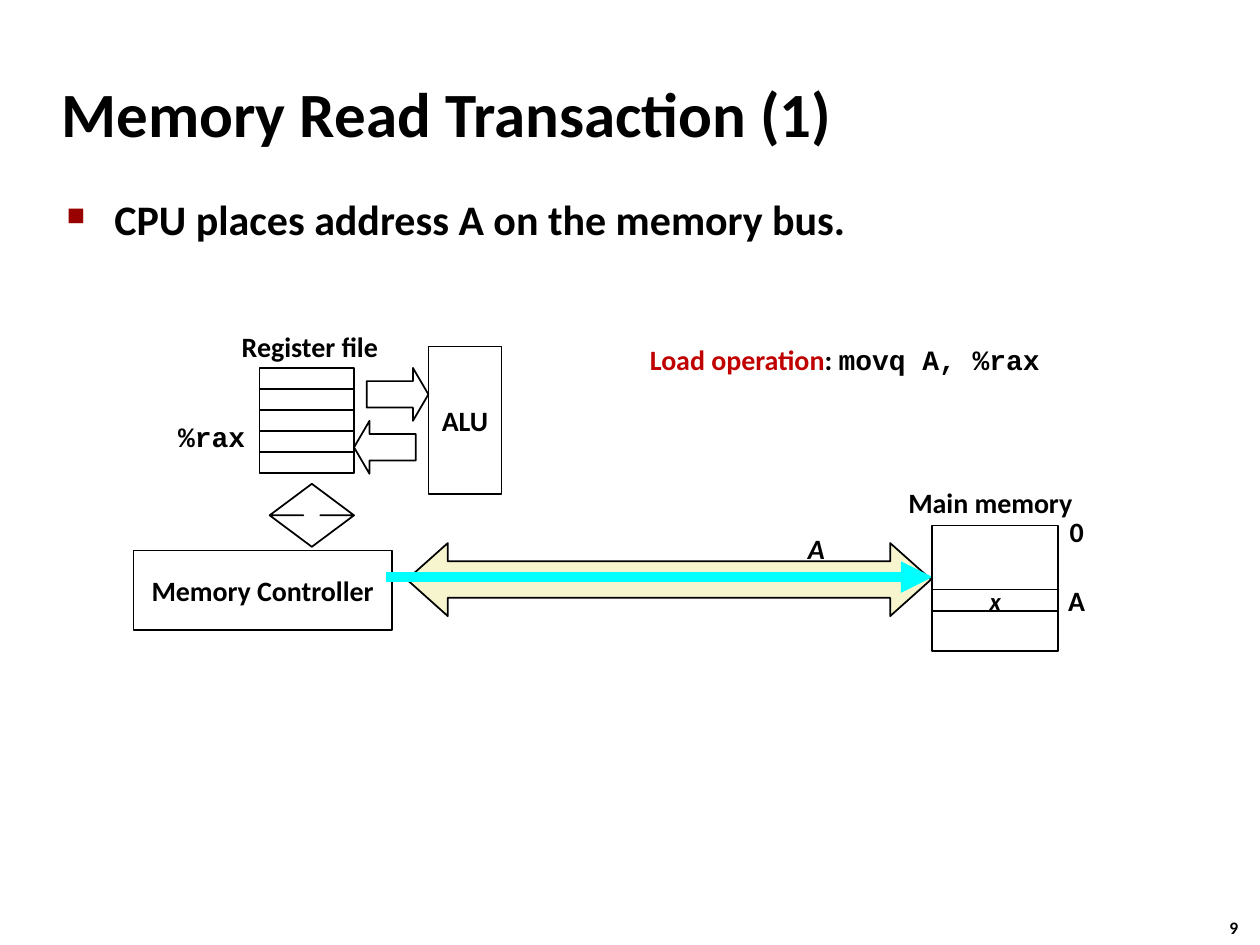
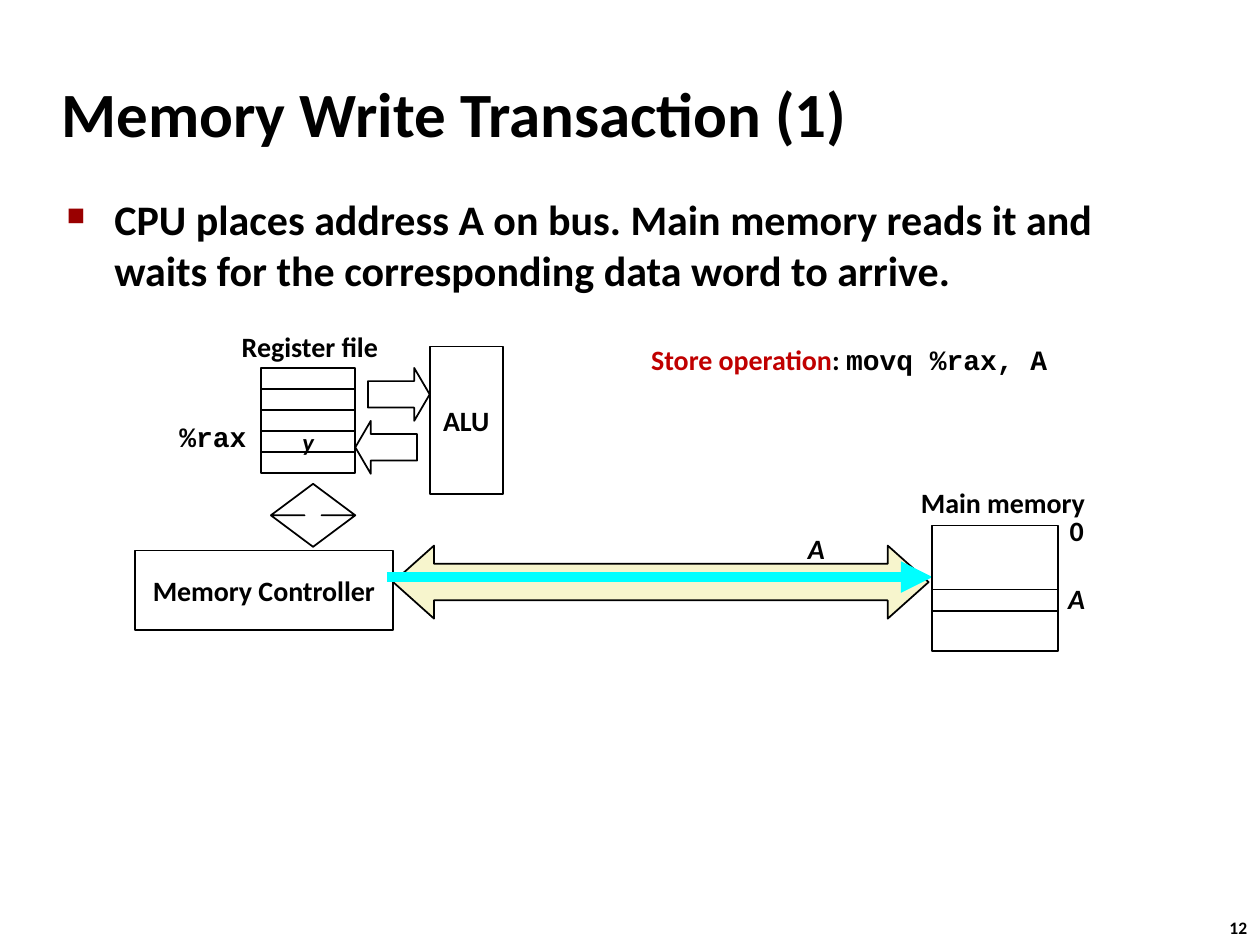
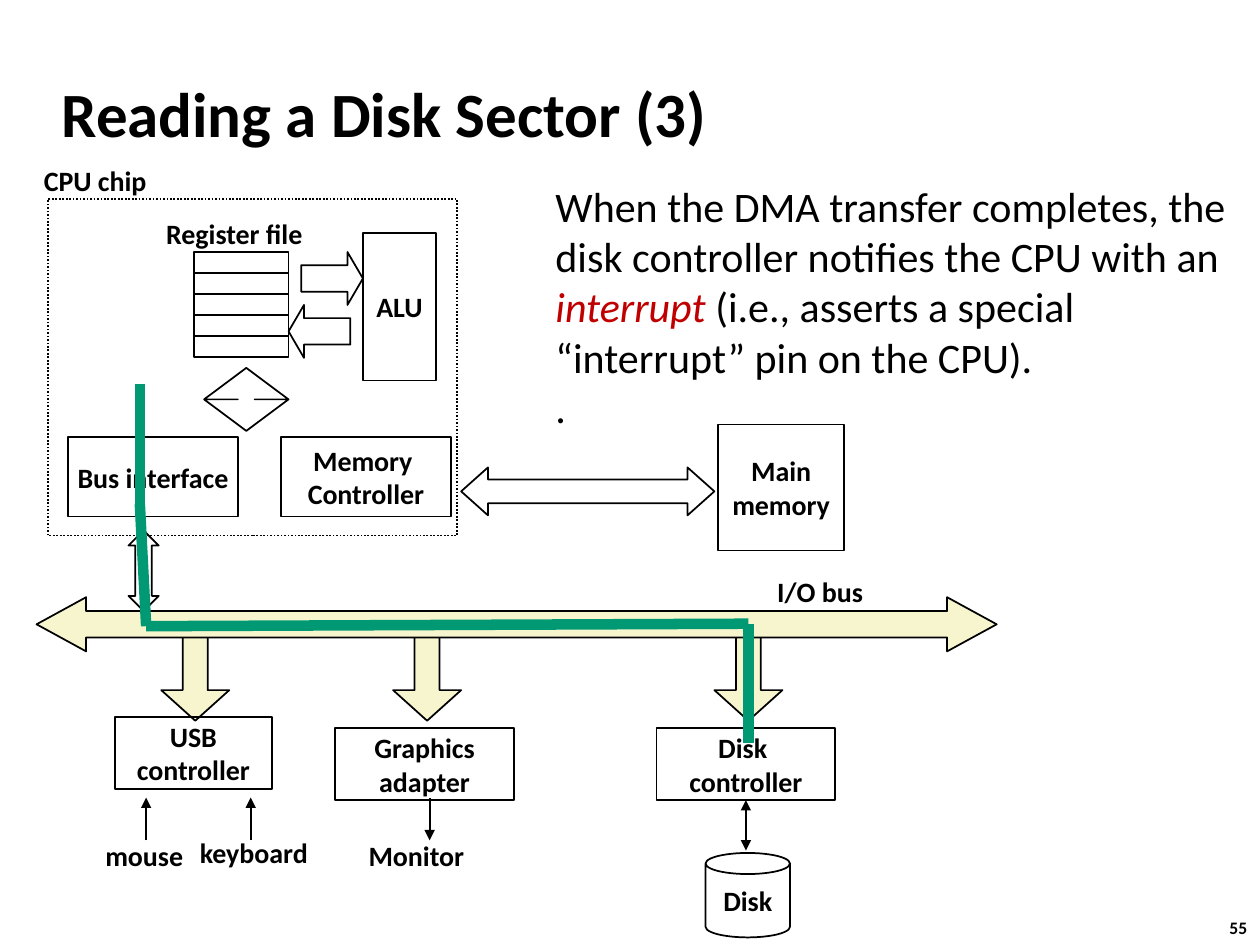
from dataclasses import dataclass

import lxml.etree
import pptx
import pptx.dml.color
import pptx.enum.dml
import pptx.enum.shapes
import pptx.enum.text
import pptx.oxml.ns
import pptx.util

Inches = pptx.util.Inches
Pt = pptx.util.Pt
RGBColor = pptx.dml.color.RGBColor
Kind = pptx.enum.shapes.MSO_SHAPE
Align = pptx.enum.text.PP_ALIGN
Anchor = pptx.enum.text.MSO_ANCHOR
qn = pptx.oxml.ns.qn

BLACK = RGBColor(0x00, 0x00, 0x00)
WHITE = RGBColor(0xFF, 0xFF, 0xFF)
RED = RGBColor(0xC0, 0x00, 0x00)
CREAM = RGBColor(0xF7, 0xF5, 0xCD)
CYAN = RGBColor(0x00, 0xFF, 0xFF)
GREEN = RGBColor(0x00, 0x99, 0x73)
BULLET = "990000"

BUS_ADJ = (0.5, 0.56)
SIDE_ADJ = (0.5, 0.292)
DOWN_ADJ = (0.367, 0.449)


@dataclass(frozen=True)
class Look:
    size: int = 16
    bold: bool = True
    slant: bool = False
    font: str = "Calibri"
    color: RGBColor = BLACK


@dataclass(frozen=True)
class Box:
    left: float
    top: float
    width: float
    height: float

    def lengths(self) -> list:
        return [Inches(n) for n in (self.left, self.top, self.width, self.height)]


@dataclass(frozen=True)
class Core:
    """Register file with ALU, placed from the first register's corner."""
    left: float
    top: float
    alu_top: float
    name_left: float
    name_top: float
    value: str = ""


@dataclass(frozen=True)
class Transfer:
    """One step of a memory read or write over the bus."""
    number: str
    title: str
    point: str
    core: Core
    bus: Box
    name_left: float
    zero_top: float
    mark_top: float
    mark_look: Look
    cell: str
    action: str
    code: str


@dataclass(frozen=True)
class Device:
    label: str
    box: Box
    arrow_left: float


PLAIN = Look()
ITALIC = Look(slant=True)
VALUE = Look(14, slant=True)
CODE = Look(font="Courier New")
PROSE = Look(24, bold=False)


def style(run, look: Look) -> None:
    font = run.font
    font.name = look.font
    font.size = Pt(look.size)
    font.bold = look.bold
    font.italic = look.slant
    font.color.rgb = look.color


def write(frame, text: str, look: Look, align=Align.LEFT) -> None:
    frame.text = text
    for para in frame.paragraphs:
        para.alignment = align
        for run in para.runs:
            style(run, look)


def add_runs(para, parts: list[tuple[str, Look]]) -> None:
    for text, look in parts:
        run = para.add_run()
        run.text = text
        style(run, look)


def add_text(slide, box: Box, text: str = "", look: Look = PLAIN, align=Align.LEFT,
             anchor=Anchor.MIDDLE, wrap: bool = False, grow: bool = True):
    frame = slide.shapes.add_textbox(*box.lengths()).text_frame
    frame.word_wrap = wrap
    frame.vertical_anchor = anchor
    if grow:
        frame.auto_size = pptx.enum.text.MSO_AUTO_SIZE.SHAPE_TO_FIT_TEXT
    if text:
        write(frame, text, look, align)
    return frame


def add_label(slide, left: float, top: float, width: float, text: str,
              look: Look = PLAIN, align=Align.CENTER) -> None:
    add_text(slide, Box(left, top, width, 0.37), text, look, align)


def add_shape(slide, box: Box, kind=Kind.RECTANGLE, text: str = "", look: Look = PLAIN,
              fill: RGBColor | None = None, adj: tuple = ()):
    shape = slide.shapes.add_shape(kind, *box.lengths())
    shape.shadow.inherit = False
    if fill is None:
        shape.fill.background()
    else:
        shape.fill.solid()
        shape.fill.fore_color.rgb = fill
    shape.line.color.rgb = BLACK
    shape.line.width = Pt(1)
    for i, value in enumerate(adj):
        shape.adjustments[i] = value
    if text:
        frame = shape.text_frame
        frame.word_wrap = False
        frame.vertical_anchor = Anchor.MIDDLE
        write(frame, text, look, Align.CENTER)
    return shape


def add_line(slide, start: tuple, end: tuple, color: RGBColor = BLACK,
             width: int = 1, heads: tuple = ()):
    """Draw a straight line; heads names its arrow ends, headEnd first."""
    points = [Inches(n) for n in (*start, *end)]
    line = slide.shapes.add_connector(pptx.enum.shapes.MSO_CONNECTOR.STRAIGHT, *points)
    line.line.color.rgb = color
    line.line.width = Pt(width)
    props = line._element.spPr
    for head in heads:
        lxml.etree.SubElement(props.find(qn("a:ln")), qn("a:" + head), type="triangle")
    lxml.etree.SubElement(props, qn("a:effectLst"))
    return line


def indent(para, inches: float):
    props = para._p.get_or_add_pPr()
    props.set("marL", str(Inches(inches)))
    props.set("indent", str(-Inches(inches)))
    return props


def add_point(slide, text: str) -> None:
    frame = add_text(slide, Box(0.43, 1.49, 8.64, 5.44), text, Look(24),
                     anchor=Anchor.TOP, wrap=True, grow=False)
    props = indent(frame.paragraphs[0], 0.38)
    color = lxml.etree.SubElement(props, qn("a:buClr"))
    lxml.etree.SubElement(color, qn("a:srgbClr"), val=BULLET)
    lxml.etree.SubElement(props, qn("a:buSzPct"), val="60000")
    lxml.etree.SubElement(props, qn("a:buChar"), char="■")


def add_slide(deck, title: str, number: str):
    slide = deck.slides.add_slide(deck.slide_layouts[6])
    add_text(slide, Box(9.66, 7.23, 0.37, 0.27), number, Look(10), anchor=Anchor.TOP)
    frame = add_text(slide, Box(0.39, 0.48, 8.3, 0.83), title, Look(36),
                     wrap=True, grow=False)
    indent(frame.paragraphs[0], 0.13)
    return slide


def draw_core(slide, core: Core) -> None:
    left, top = core.left, core.top
    for i in range(5):
        add_shape(slide, Box(left, top + i / 6, 0.75, 0.17),
                  text=core.value if i == 3 else "", look=VALUE)
    add_shape(slide, Box(left + 0.85, top, 0.49, 0.42), Kind.RIGHT_ARROW, adj=SIDE_ADJ)
    add_shape(slide, Box(left + 0.75, top + 0.42, 0.49, 0.42), Kind.LEFT_ARROW,
              adj=SIDE_ADJ)
    add_shape(slide, Box(left + 1.34, core.alu_top, 0.58, 1.17), text="ALU")
    add_label(slide, core.name_left, core.name_top, 1.3, "Register file")
    add_shape(slide, Box(left + 0.08, top + 0.92, 0.67, 0.5), Kind.UP_DOWN_ARROW,
              adj=(0.5, 0.2))


def draw_transfer(deck, step: Transfer) -> None:
    slide = add_slide(deck, step.title, step.number)
    add_point(slide, step.point)
    left = step.core.left
    add_shape(slide, step.bus, Kind.LEFT_RIGHT_ARROW, fill=CREAM, adj=BUS_ADJ)
    draw_core(slide, step.core)
    add_shape(slide, Box(left - 1, 4.37, 2.05, 0.63), text="Memory Controller", fill=WHITE)
    add_line(slide, (left + 1, 4.58), (7.4, 4.58), CYAN, 6, ("tailEnd",))
    add_label(slide, 6.31, 4.17, 0.34, "A", ITALIC)
    add_shape(slide, Box(7.4, 4.17, 1, 1))
    add_shape(slide, Box(7.4, 4.68, 1, 0.17), text=step.cell, look=VALUE)
    add_label(slide, step.name_left, 3.8, 1.52, "Main memory")
    add_label(slide, 8.39, step.zero_top, 0.32, "0", align=Align.LEFT)
    add_label(slide, 8.38, step.mark_top, 0.34, "A", step.mark_look, Align.LEFT)
    add_label(slide, left - 0.75, 3.28, 0.74, "%rax", CODE)
    frame = add_text(slide, Box(left + 3, 2.67, 3.36, 0.64), anchor=Anchor.TOP)
    add_runs(frame.paragraphs[0],
             [(step.action, Look(color=RED)), (": ", PLAIN), (step.code, CODE)])


def draw_sector(deck) -> None:
    slide = add_slide(deck, "Reading a Disk Sector (3)", "55")
    add_shape(slide, Box(5.7, 3.37, 1, 1), text="Main\nmemory")
    add_shape(slide, Box(3.66, 3.71, 2.01, 0.38), Kind.LEFT_RIGHT_ARROW, adj=BUS_ADJ)
    add_shape(slide, Box(1.02, 4.21, 0.24, 0.64), Kind.UP_DOWN_ARROW, adj=(0.5, 0.545))
    draw_core(slide, Core(1.54, 2, 1.85, 1.21, 1.67))
    chip = add_shape(slide, Box(0.38, 1.58, 3.25, 2.67))
    chip.line.dash_style = pptx.enum.dml.MSO_LINE.ROUND_DOT
    add_label(slide, 0.25, 1.25, 1.03, "CPU chip", align=Align.LEFT)

    devices = (
        Device("Graphics\nadapter", Box(2.66, 5.78, 1.42, 0.57), 3.12),
        Device("USB\ncontroller", Box(0.91, 5.69, 1.25, 0.57), 1.28),
        Device("Disk \ncontroller", Box(5.21, 5.78, 1.42, 0.57), 5.67),
    )
    for device in devices:
        add_shape(slide, Box(device.arrow_left, 4.97, 0.54, 0.75), Kind.DOWN_ARROW,
                  fill=CREAM, adj=DOWN_ADJ)
        block = add_shape(slide, device.box, text=device.label)
    disk_link = add_line(slide, (5.92, 6.35), (5.92, 6.75),
                         heads=("headEnd", "tailEnd"))
    disk_link.begin_connect(block, 2)

    for x in (1.16, 1.99):
        add_line(slide, (x, 6.67), (x, 6.33), heads=("tailEnd",))
    add_line(slide, (3.41, 6.33), (3.41, 6.67), heads=("tailEnd",))
    add_label(slide, 0.73, 6.6, 0.83, "mouse")
    add_label(slide, 1.48, 6.58, 1.07, "keyboard")
    add_label(slide, 2.82, 6.6, 0.97, "Monitor")
    add_shape(slide, Box(5.6, 6.77, 0.67, 0.67), Kind.CAN, "Disk", adj=(0.25,))

    add_shape(slide, Box(0.29, 4.74, 7.62, 0.43), Kind.LEFT_RIGHT_ARROW, fill=CREAM,
              adj=(0.486, 0.915))
    add_label(slide, 6.07, 4.51, 0.89, "I/O bus", align=Align.LEFT)
    add_shape(slide, Box(0.54, 3.47, 1.35, 0.63), text="Bus interface")
    add_shape(slide, Box(2.23, 3.47, 1.35, 0.63), text="Memory \vController", fill=WHITE)

    frame = add_text(slide, Box(4.31, 1.38, 5.82, 2.12), anchor=Anchor.TOP, wrap=True)
    add_runs(frame.paragraphs[0], [
        ("When the DMA transfer completes, the disk controller notifies the CPU with an ",
         PROSE),
        ("interrupt", Look(24, bold=False, slant=True, color=RED)),
        (" (i.e., asserts a special “interrupt” pin on the CPU).", PROSE),
    ])
    add_runs(frame.add_paragraph(), [(".", PROSE)])

    route = ((1.11, 3.05), (1.11, 4), (1.16, 4.97), (5.94, 4.95), (5.94, 5.9))
    for start, end in zip(route, route[1:]):
        add_line(slide, start, end, GREEN, 6)


TRANSFERS = (
    Transfer("9", "Memory Read Transaction (1)",
             "CPU places address A on the memory bus.",
             Core(2.06, 2.92, 2.75, 1.81, 2.56), Box(3.23, 4.31, 4.16, 0.58),
             7.1, 4.03, 4.58, PLAIN, "x", "Load operation", "movq A, %rax"),
    Transfer("12", "Memory Write Transaction (1)",
             "CPU places address A on bus. Main memory reads it and waits for the "
             "corresponding data word to arrive.",
             Core(2.07, 2.92, 2.75, 1.81, 2.56, "y"), Box(3.12, 4.33, 4.25, 0.58),
             7.2, 4.02, 4.56, ITALIC, "", "Store operation", "movq %rax, A"),
)


def main() -> None:
    deck = pptx.Presentation()
    deck.slide_width = Inches(10)
    deck.slide_height = Inches(7.5)
    for step in TRANSFERS:
        draw_transfer(deck, step)
    draw_sector(deck)
    deck.save("out.pptx")


if __name__ == "__main__":
    main()
